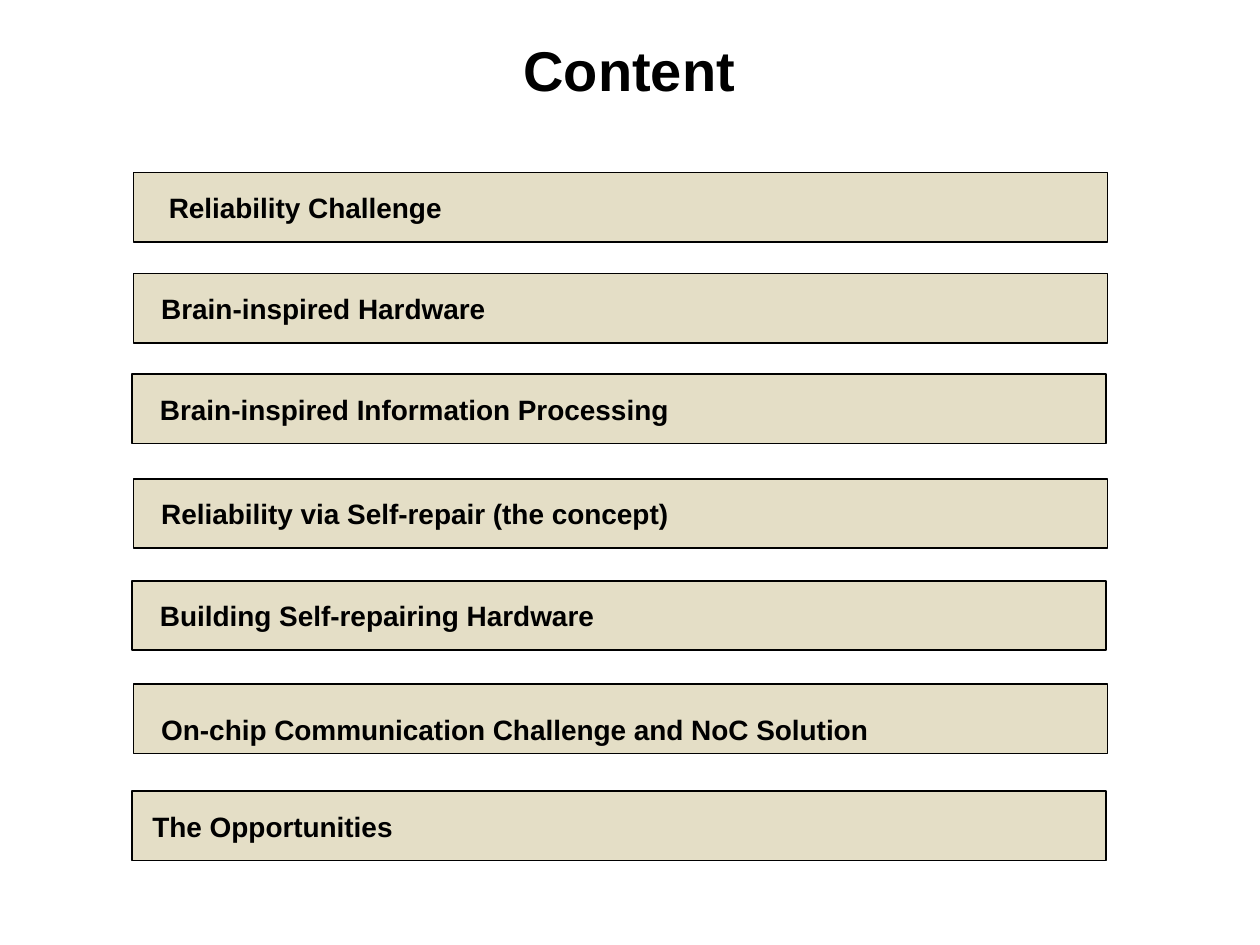
from pptx import Presentation
from pptx.dml.color import RGBColor
from pptx.enum import shapes, text
from pptx.util import Inches, Pt


def color(hex_code):
    return RGBColor.from_string(hex_code)


def write(shape, words, size, align, left=0.1, top=0.05):
    frame = shape.text_frame
    frame.word_wrap = True
    frame.auto_size = text.MSO_AUTO_SIZE.NONE
    frame.vertical_anchor = text.MSO_ANCHOR.MIDDLE
    frame.margin_left, frame.margin_right = Inches(left), Inches(0.1)
    frame.margin_top, frame.margin_bottom = Inches(top), Inches(0.05)
    paragraph = frame.paragraphs[0]
    paragraph.alignment = align
    run = paragraph.add_run()
    run.text = words
    run.font.name = "Arial"
    run.font.size = Pt(size)
    run.font.bold = True
    run.font.color.rgb = color("000000")


deck = Presentation()
deck.slide_width, deck.slide_height = Inches(10), Inches(7.5)
slide = deck.slides.add_slide(deck.slide_layouts[5])

title = slide.shapes.title
title.left, title.top = Inches(0.06), Inches(0.18)
title.width, title.height = Inches(9.87), Inches(0.73)
write(title, "Content", 32, text.PP_ALIGN.CENTER)

# Topic, left edge, top edge, text indent, top margin
topics = [
    ("Reliability Challenge", 1.06, 1.37, 0.28, 0.05),
    ("Brain-inspired Hardware", 1.06, 2.17, 0.22, 0.05),
    ("Brain-inspired Information Processing", 1.05, 2.97, 0.22, 0.05),
    ("Reliability via Self-repair (the concept)", 1.06, 3.8, 0.22, 0.05),
    ("Building Self-repairing Hardware", 1.05, 4.61, 0.22, 0.05),
    ("On-chip Communication Challenge and NoC Solution", 1.06, 5.43, 0.22, 0.21),
    ("The Opportunities", 1.05, 6.28, 0.16, 0.05),
]
for topic, left, top, indent, top_margin in topics:
    bar = slide.shapes.add_shape(
        shapes.MSO_SHAPE.RECTANGLE, Inches(left), Inches(top), Inches(7.73), Inches(0.55)
    )
    bar.shadow.inherit = False
    bar.fill.solid()
    bar.fill.fore_color.rgb = color("E4DEC6")
    bar.line.color.rgb = color("000000")
    bar.line.width = Pt(1)
    write(bar, topic, 16, text.PP_ALIGN.LEFT, left=indent, top=top_margin)

deck.save("out.pptx")
